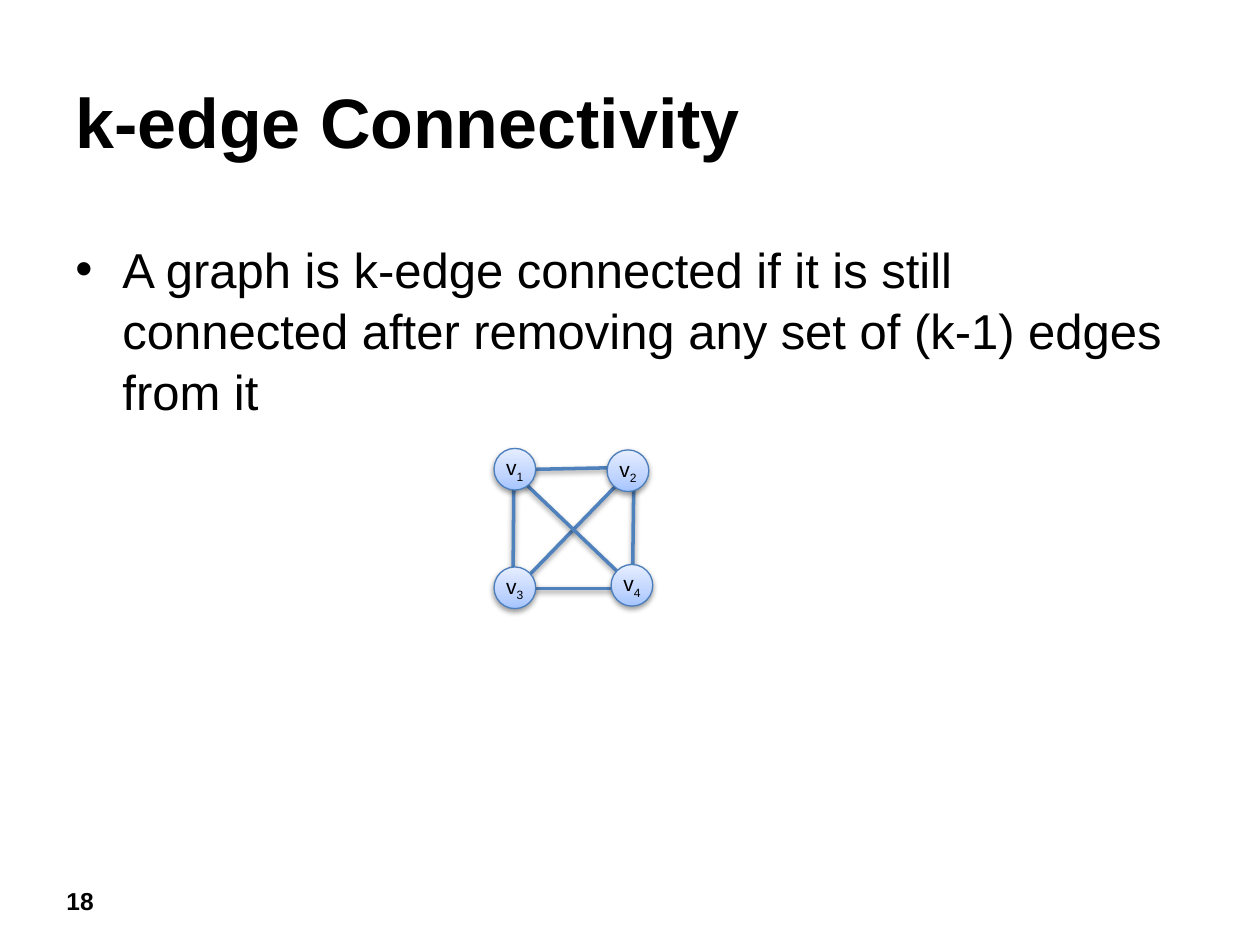
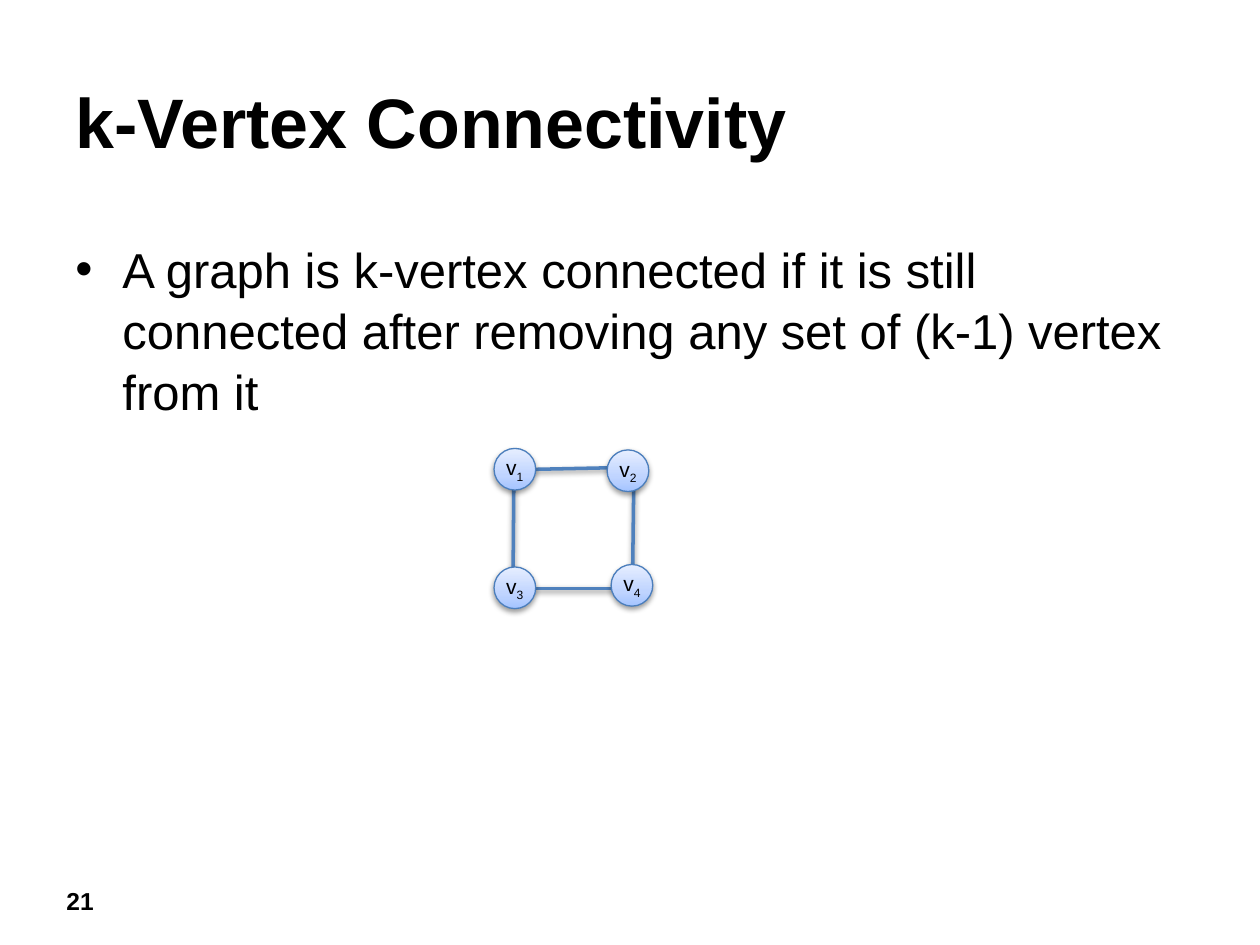
from dataclasses import dataclass

from lxml.etree import SubElement
from pptx import Presentation
from pptx.dml.color import RGBColor
from pptx.enum.shapes import MSO_CONNECTOR, MSO_SHAPE
from pptx.enum.text import MSO_ANCHOR, PP_ALIGN
from pptx.oxml.ns import qn
from pptx.util import Cm, Pt


@dataclass(frozen=True)
class Theme:
    font: str = "Arial"
    ink: str = "000000"
    edge: str = "4F81BD"
    outline: str = "4B7EBC"
    node_stops: tuple = ((0, "A4C4FF"), (35, "BFD4FF"), (100, "E6EEFF"))
    title_size: int = 40
    body_size: int = 28
    number_size: int = 14
    label_size: int = 12
    node_diameter: float = 0.84


VERTICES = {1: (9.96, 9.04), 2: (12.24, 9.07), 3: (9.96, 11.43), 4: (12.32, 11.38)}

BOTTOM = ((10.34, 11.86), (12.67, 11.86))
LEFT = ((10.34, 11.89), (10.36, 9.5))
RISING = ((12.78, 9.42), (10.36, 11.91))
FALLING = ((12.8, 11.86), (10.36, 9.53))
TOP = ((12.78, 9.42), (10.34, 9.47))
RIGHT = ((12.75, 11.79), (12.78, 9.4))

TOPICS = (
    ("18", "k-edge Connectivity",
     "A graph is k-edge connected if it is still connected after "
     "removing any set of (k-1) edges from it",
     (BOTTOM, LEFT, RISING, FALLING, TOP, RIGHT)),
    ("21", "k-Vertex Connectivity",
     "A graph is k-vertex connected if it is still connected after "
     "removing any set of (k-1) vertex from it",
     (BOTTOM, LEFT, TOP, RIGHT)),
)


class Deck:
    def __init__(self, theme):
        self.theme = theme
        self.presentation = Presentation()
        self.presentation.slide_width = Cm(25.4)
        self.presentation.slide_height = Cm(19.05)
        self.slide = None

    def new_slide(self):
        blank = self.presentation.slide_layouts[6]
        self.slide = self.presentation.slides.add_slide(blank)

    def run(self, paragraph, text, size, bold=False):
        run = paragraph.add_run()
        run.text = text
        run.font.name = self.theme.font
        run.font.size = Pt(size)
        run.font.bold = bold
        run.font.color.rgb = RGBColor.from_string(self.theme.ink)
        return run

    def text(self, text, box, size, bold=False, anchor=MSO_ANCHOR.TOP, wrap=True):
        frame = self.slide.shapes.add_textbox(*map(Cm, box)).text_frame
        frame.word_wrap = wrap
        frame.vertical_anchor = anchor
        paragraph = frame.paragraphs[0]
        self.run(paragraph, text, size, bold)
        return paragraph

    def title(self, text):
        self.text(text, (1.27, 1.32, 22.86, 2.21), self.theme.title_size,
                  bold=True, anchor=MSO_ANCHOR.MIDDLE)

    def page_number(self, number):
        paragraph = self.text(number, (1.09, 17.73, 1.19, 0.86),
                              self.theme.number_size, bold=True, wrap=False)
        paragraph.space_before = Pt(2)

    def bullet(self, text):
        paragraph = self.text(text, (1.27, 4.65, 22.86, 2.67), self.theme.body_size)
        paragraph.space_before = Pt(2.5)
        paragraph.line_spacing = 1.04
        properties = paragraph._p.get_or_add_pPr()
        properties.set("marL", str(Cm(0.95)))
        properties.set("indent", str(-Cm(0.95)))
        SubElement(properties, qn("a:buFont"), typeface=self.theme.font)
        SubElement(properties, qn("a:buChar"), char="•")

    def cast_shadow(self, effects):
        shadow = SubElement(effects, qn("a:outerShdw"), blurRad=str(Pt(3.1)),
                            dist=str(Pt(1.6)), dir="5400000", rotWithShape="0")
        color = SubElement(shadow, qn("a:srgbClr"), val=self.theme.ink)
        SubElement(color, qn("a:alpha"), val="38000")

    def edge(self, start, end):
        edge = self.slide.shapes.add_connector(
            MSO_CONNECTOR.STRAIGHT, *map(Cm, start + end))
        edge.line.color.rgb = RGBColor.from_string(self.theme.edge)
        edge.line.width = Pt(2)
        self.cast_shadow(SubElement(edge._element.spPr, qn("a:effectLst")))

    def vertex(self, index, position):
        diameter = self.theme.node_diameter
        vertex = self.slide.shapes.add_shape(
            MSO_SHAPE.FLOWCHART_CONNECTOR, *map(Cm, position + (diameter, diameter)))
        vertex.shadow.inherit = False
        vertex.line.color.rgb = RGBColor.from_string(self.theme.outline)
        vertex.line.width = Pt(0.75)
        vertex.fill.gradient()
        vertex.fill.gradient_angle = 90
        properties = vertex._element.spPr
        stops = properties.find(".//" + qn("a:gsLst"))
        stops.clear()
        for percent, color in self.theme.node_stops:
            stop = SubElement(stops, qn("a:gs"), pos=str(percent * 1000))
            SubElement(stop, qn("a:srgbClr"), val=color)
        self.cast_shadow(properties.find(qn("a:effectLst")))

        frame = vertex.text_frame
        frame.margin_left = frame.margin_right = 0
        frame.margin_top = frame.margin_bottom = 0
        frame.vertical_anchor = MSO_ANCHOR.MIDDLE
        label = frame.paragraphs[0]
        label.alignment = PP_ALIGN.CENTER
        self.run(label, "v", self.theme.label_size)
        subscript = self.run(label, str(index), self.theme.label_size)
        subscript.font._element.set("baseline", "-25000")


def main():
    deck = Deck(Theme())
    for number, heading, definition, edges in TOPICS:
        deck.new_slide()
        deck.page_number(number)
        deck.title(heading)
        deck.bullet(definition)
        for start, end in edges:
            deck.edge(start, end)
        for index, position in VERTICES.items():
            deck.vertex(index, position)
    deck.presentation.save("out.pptx")


if __name__ == "__main__":
    main()
